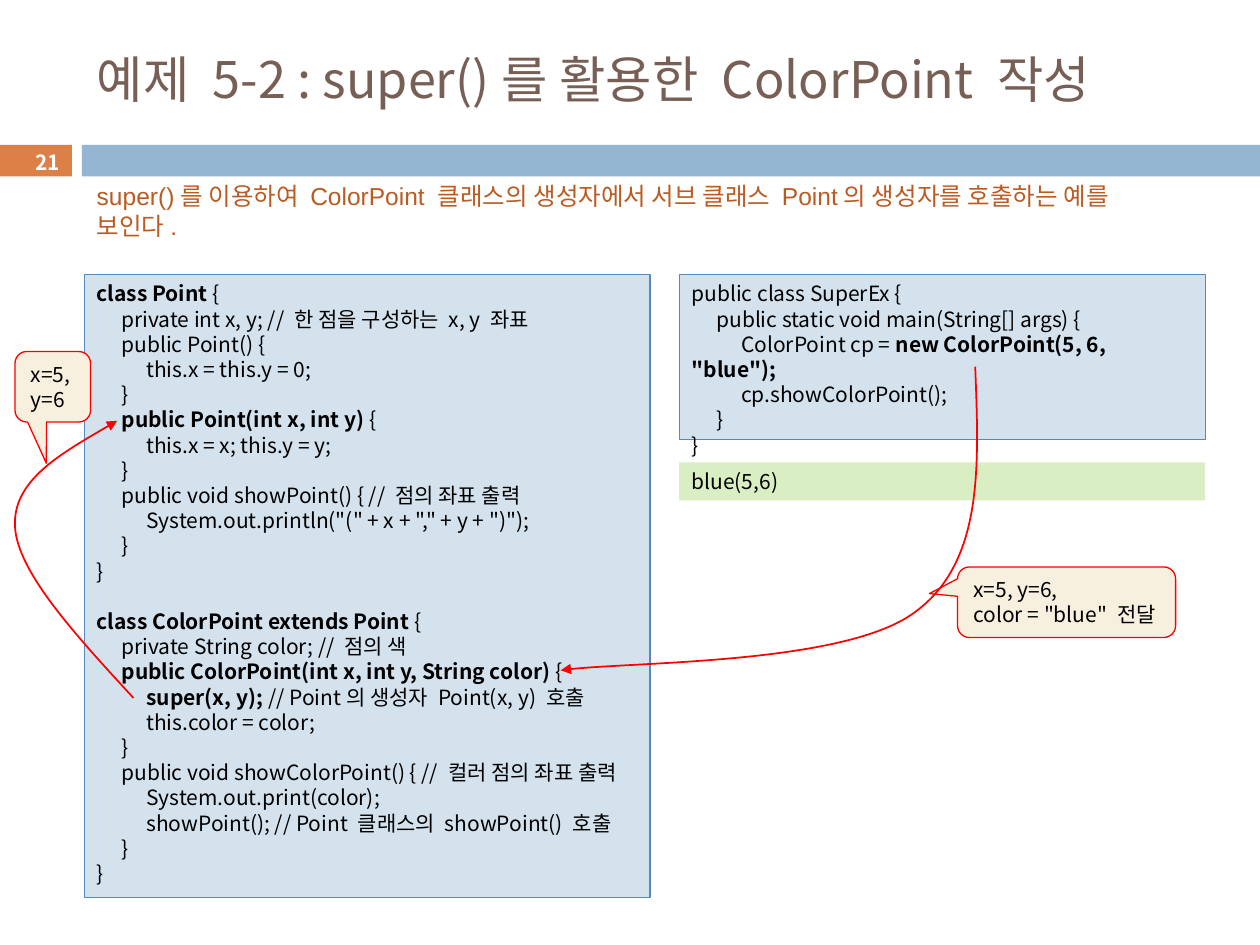
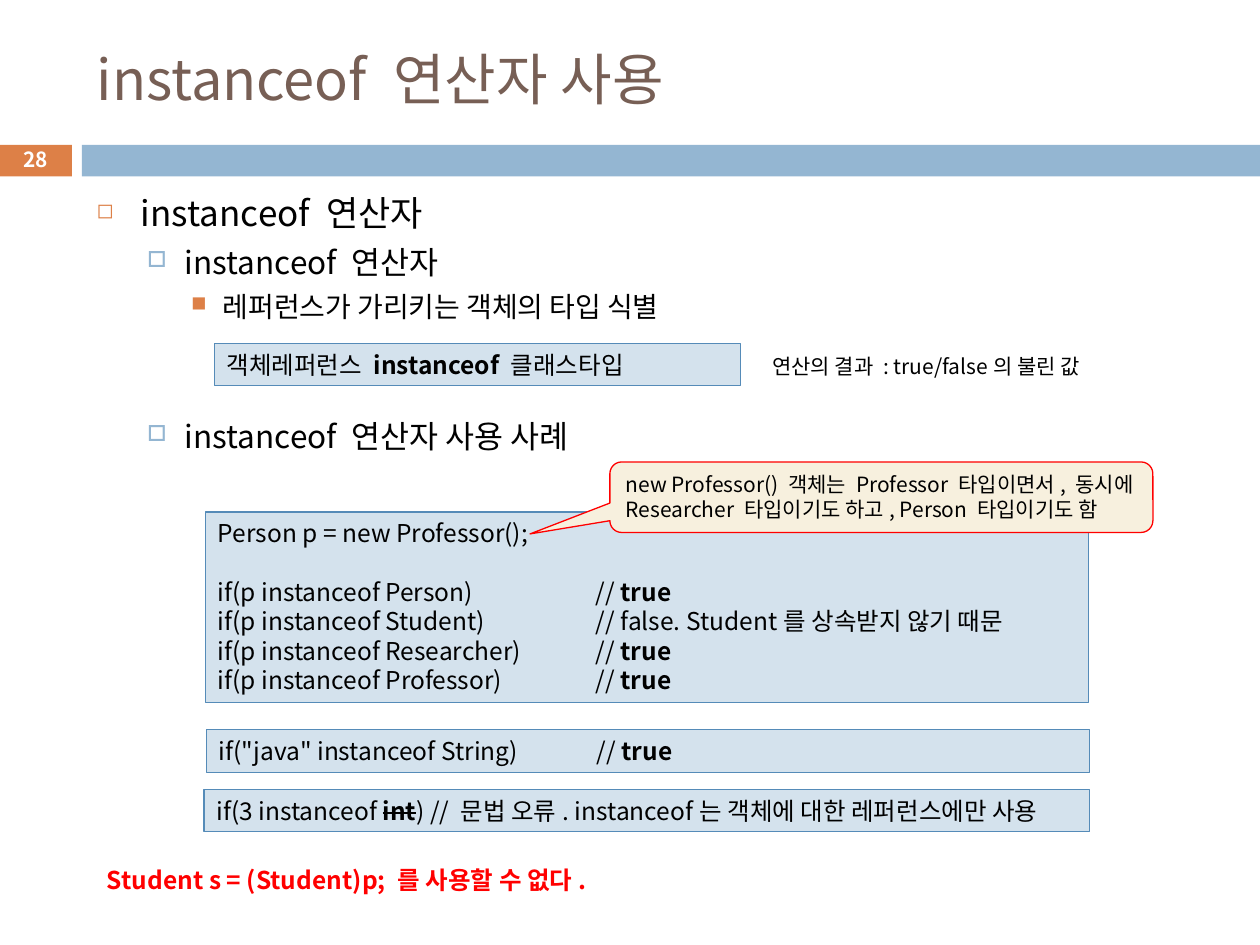
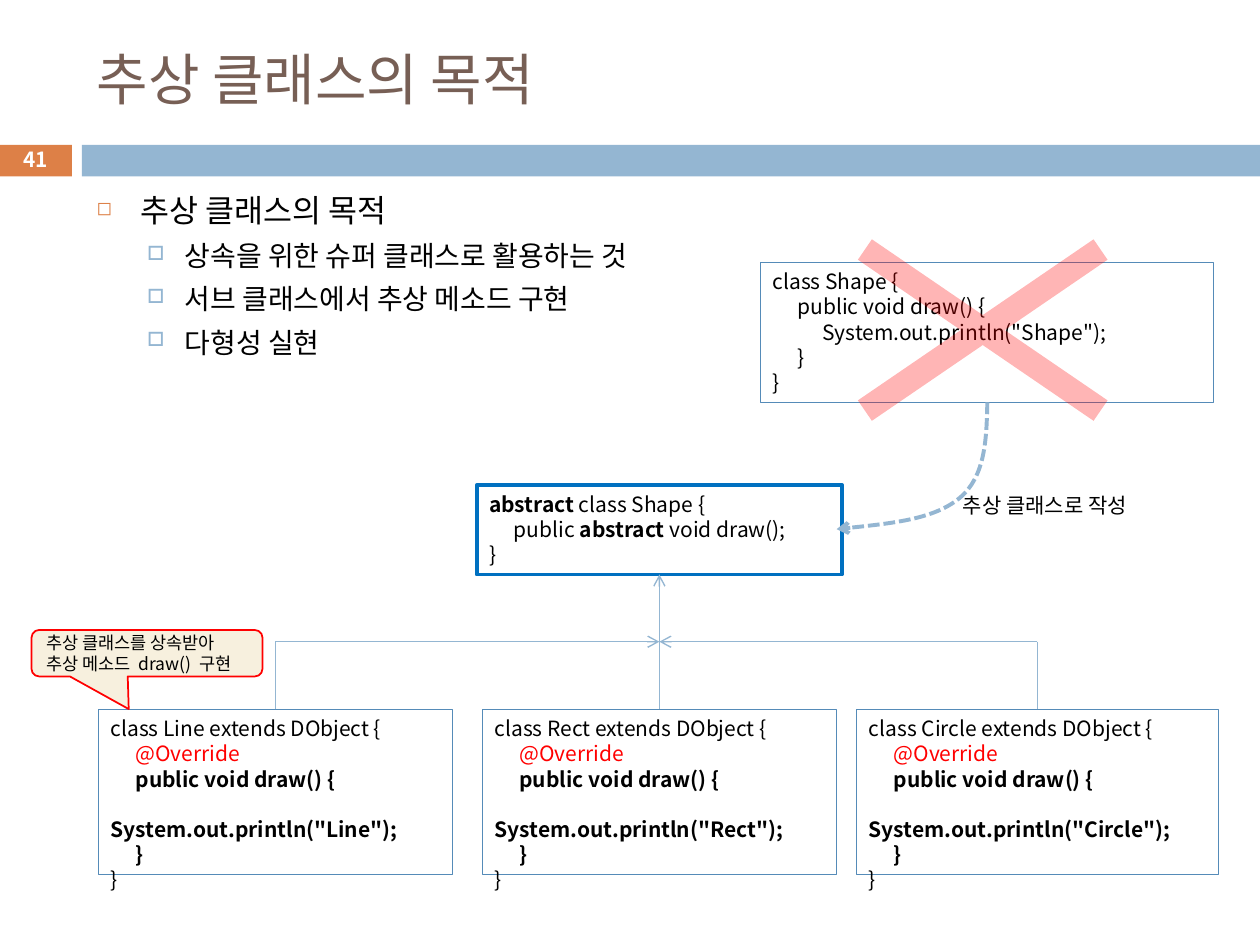
from dataclasses import dataclass
from typing import NamedTuple, Optional, Sequence, Union

from pptx import Presentation
from pptx.dml.color import RGBColor as Rgb
from pptx.enum.dml import MSO_LINE as Dash
from pptx.enum.shapes import MSO_CONNECTOR as Link, MSO_SHAPE as Kind
from pptx.enum.text import MSO_ANCHOR as Anchor, PP_ALIGN as Align
from pptx.oxml.ns import qn
from pptx.oxml.xmlchemy import OxmlElement as Node
from pptx.util import Pt

BLACK = Rgb(0x00, 0x00, 0x00)
WHITE = Rgb(0xFF, 0xFF, 0xFF)
RED = Rgb(0xFF, 0x00, 0x00)
BROWN = Rgb(0x77, 0x5F, 0x55)
RUST = Rgb(0xB9, 0x5B, 0x22)
ORANGE = Rgb(0xDD, 0x80, 0x47)
SKY = Rgb(0x94, 0xB6, 0xD2)
PALE = Rgb(0xD4, 0xE2, 0xED)
STEEL = Rgb(0x55, 0x8B, 0xB8)
BLUE = Rgb(0x00, 0x70, 0xC0)
CREAM = Rgb(0xF7, 0xF0, 0xDE)
GREEN = Rgb(0xDA, 0xEE, 0xC4)

SANS = "Noto Sans CJK KR"
LEAD = 1.2
INDENT = (14.17, 28.34, 42.51)
ANSWER = (216,)


class Run(NamedTuple):
    text: str
    form: dict


class Mark(NamedTuple):
    char: str
    color: Rgb
    share: int
    left: float
    hang: float


class Para(NamedTuple):
    runs: Sequence[Union[str, Run]]
    gap: float = 0
    size: Optional[float] = None
    mark: Optional[Mark] = None


Line = Union[str, Sequence[Union[str, Run]], Para]


@dataclass
class Box:
    x: float
    y: float
    w: float
    h: float
    lines: Sequence[Line] = ()
    size: float = 12
    kind: Optional[Kind] = Kind.RECTANGLE
    fill: Optional[Rgb] = None
    edge: Optional[Rgb] = None
    width: float = 0.75
    adjust: Sequence[float] = ()
    color: Rgb = BLACK
    font: str = SANS
    bold: bool = False
    anchor: Anchor = Anchor.TOP
    align: Align = Align.LEFT
    wrap: bool = True
    tabs: Sequence[float] = INDENT


@dataclass
class Curve:
    points: Sequence[tuple[float, float]]
    color: Rgb = RED
    width: float = 1
    head: str = "triangle"
    dash: Optional[Dash] = None


MARKS = (
    Mark("◻", ORANGE, 60, 25.2, 25.2),
    Mark("□", SKY, 70, 50.4, 21.6),
    Mark("■", ORANGE, 75, 72, 18),
)


def bold(text: str, **form) -> Run:
    return Run(text, {"bold": True, **form})


def item(text: str, level: int, size: float, gap: float = 0) -> Para:
    return Para([text], gap, size, MARKS[level])


def add_node(home, tag: str, **attrs):
    node = Node(tag)
    for key, value in attrs.items():
        node.set(key, str(value))
    home.append(node)
    return node


def add_run(para, run: Run) -> None:
    piece = para.add_run()
    piece.text = run.text
    form = dict(run.form)
    strike = form.pop("strike", False)
    font = piece.font
    for key, value in form.items():
        setattr(font.color if key == "rgb" else font, key, value)
    props = piece._r.get_or_add_rPr()
    if strike:
        props.set("strike", "sngStrike")
    add_node(props, "a:ea", typeface=SANS)


def set_mark(props, mark: Mark) -> None:
    props.set("marL", str(Pt(mark.left)))
    props.set("indent", str(-Pt(mark.hang)))
    add_node(add_node(props, "a:buClr"), "a:srgbClr", val=mark.color)
    add_node(props, "a:buSzPct", val=mark.share * 1000)
    add_node(props, "a:buChar", char=mark.char)


def set_tabs(props, stops: Sequence[float]) -> None:
    home = add_node(props, "a:tabLst")
    for stop in stops:
        add_node(home, "a:tab", pos=Pt(stop), algn="l")


def add_para(para, line: Line, box: Box) -> None:
    if isinstance(line, str):
        line = [line]
    if not isinstance(line, Para):
        line = Para(line)
    size = line.size or box.size
    form = {"alignment": box.align, "line_spacing": Pt(size * LEAD), "space_before": Pt(line.gap)}
    for key, value in form.items():
        setattr(para, key, value)
    props = para._p.get_or_add_pPr()
    if line.mark:
        set_mark(props, line.mark)
    set_tabs(props, box.tabs)
    base = {"size": Pt(size), "name": box.font, "bold": box.bold, "rgb": box.color}
    for run in line.runs:
        run = Run(run, {}) if isinstance(run, str) else run
        add_run(para, Run(run.text, {**base, **run.form}))


def paint(shape, fill: Optional[Rgb], edge: Optional[Rgb], width: float) -> None:
    shape.shadow.inherit = False
    if fill is None:
        shape.fill.background()
    else:
        shape.fill.solid()
        shape.fill.fore_color.rgb = fill
    if edge is None:
        shape.line.fill.background()
    else:
        shape.line.color.rgb = edge
        shape.line.width = Pt(width)


def add_box(slide, box: Box):
    place = [Pt(v) for v in (box.x, box.y, box.w, box.h)]
    if box.kind is None:
        shape = slide.shapes.add_textbox(*place)
    else:
        shape = slide.shapes.add_shape(box.kind, *place)
        paint(shape, box.fill, box.edge, box.width)
        for i, value in enumerate(box.adjust):
            shape.adjustments[i] = value
    frame = shape.text_frame
    frame.word_wrap = box.wrap
    frame.vertical_anchor = box.anchor
    for i, line in enumerate(box.lines):
        add_para(frame.add_paragraph() if i else frame.paragraphs[0], line, box)
    return shape


def add_head(shape, head: str) -> None:
    add_node(shape._element.spPr.find(qn("a:ln")), "a:tailEnd", type=head)


def add_curve(slide, curve: Curve) -> None:
    start, *rest = [(Pt(x), Pt(y)) for x, y in curve.points]
    pen = slide.shapes.build_freeform(*start)
    pen.add_line_segments(rest, close=False)
    shape = pen.convert_to_shape()
    steps = list(shape._element.iter(qn("a:lnTo")))
    for i in range(0, len(steps), 3):
        bend = Node("a:cubicBezTo")
        steps[i].addprevious(bend)
        for step in steps[i:i + 3]:
            bend.append(step[0])
            step.getparent().remove(step)
    paint(shape, None, curve.color, curve.width)
    if curve.dash:
        shape.line.dash_style = curve.dash
    add_head(shape, curve.head)


def add_link(slide, start, end, source=None, target=None, head: str = "none") -> None:
    ends = [Pt(v) for v in (*start, *end)]
    link = slide.shapes.add_connector(Link.STRAIGHT, *ends)
    if source is not None:
        link.begin_connect(source, 0)
    if target is not None:
        link.end_connect(target, 2)
    link.line.color.rgb = SKY
    link.line.width = Pt(0.79)
    add_head(link, head)
    add_node(link._element.spPr, "a:effectLst")


def code(x: float, y: float, w: float, h: float, lines: Sequence[Line], **form) -> Box:
    return Box(x, y, w, h, lines, **{"fill": PALE, "edge": STEEL, **form})


def note(x: float, y: float, w: float, h: float, lines: Sequence[Line], tip: Sequence[float], **form) -> Box:
    return Box(x, y, w, h, lines, kind=Kind.ROUNDED_RECTANGULAR_CALLOUT,
               fill=CREAM, edge=RED, adjust=(*tip, 0.167), **form)


def label(x: float, y: float, w: float, h: float, lines: Sequence[Line], **form) -> Box:
    return Box(x, y, w, h, lines, kind=None, **form)


def add_slide(deck, title: str, page: str, size: float = 32, left: float = -0.72, top: float = 81.4):
    slide = deck.slides.add_slide(deck.slide_layouts[6])
    for box in (
        Box(-0.72, 82.8, 41.76, 18, fill=ORANGE),
        Box(46.8, 82.8, 673.2, 18, fill=SKY),
        label(48.2, 18, 642.2, 53.3, [title], size=size, color=BROWN, anchor=Anchor.MIDDLE),
        label(left, top, 41.76, 19.4, [page], size=11.9, color=WHITE, bold=True,
              anchor=Anchor.MIDDLE, align=Align.CENTER),
    ):
        add_box(slide, box)
    return slide


def draw_super(deck) -> None:
    slide = add_slide(deck, "예제 5-2 : super()를 활용한 ColorPoint 작성", "21", 28.8, 6.2, 82.8)
    point = [
        [bold("class Point "), "{"],
        "\tprivate int x, y; // 한 점을 구성하는 x, y 좌표",
        "\tpublic Point() {",
        "\t\tthis.x = this.y = 0;",
        "\t}",
        [bold("\tpublic Point(int x, int y) "), "{"],
        "\t\tthis.x = x; this.y = y;",
        "\t}",
        "\tpublic void showPoint() { // 점의 좌표 출력",
        "\t\tSystem.out.println(\"(\" + x + \",\" + y + \")\");",
        "\t}",
        "}",
        Para([bold("class ColorPoint extends Point "), "{"], gap=14.4),
        "\tprivate String color; // 점의 색",
        [bold("\tpublic ColorPoint(int x, int y, String color) "), "{"],
        [bold("\t\tsuper(x, y); "), "// Point의 생성자 Point(x, y) 호출"],
        "\t\tthis.color = color;",
        "\t}",
        "\tpublic void showColorPoint() { // 컬러 점의 좌표 출력",
        "\t\tSystem.out.print(color);",
        "\t\tshowPoint(); // Point 클래스의 showPoint() 호출",
        "\t}",
        "}",
    ]
    main = [
        "public class SuperEx {",
        "\tpublic static void main(String[] args) {",
        ["\t\tColorPoint cp = ", bold("new ColorPoint(5, 6, \"blue\");")],
        "\t\tcp.showColorPoint();",
        "\t}",
        "}",
    ]
    intro = "super()를 이용하여 ColorPoint 클래스의 생성자에서 서브 클래스 Point의 생성자를 호출하는 예를 보인다."
    add_box(slide, label(48.2, 100.1, 601.2, 41, [intro], size=14, color=RUST, font="Arial"))
    add_box(slide, code(48.2, 157, 323.3, 356, point))
    add_box(slide, code(388.1, 157, 300.6, 94.3, main))
    add_curve(slide, Curve([(76.3, 398.9), (43.2, 362.9), (10, 326.9), (8.6, 301),
                            (7.2, 274.5), (37.4, 257.8), (67, 240.5)]))
    add_box(slide, note(547.2, 324, 124.6, 40.3, ["x=5, y=6,", "color = \"blue\" 전달"], (-0.629, -0.122)))
    add_box(slide, note(8.6, 200.9, 43.2, 40.3, ["x=5,", "y=6"], (-0.085, 1.085)))
    add_box(slide, code(388.1, 264.2, 300.6, 21.8, ["blue(5,6)"], fill=GREEN, edge=None))
    add_curve(slide, Curve([(557.3, 209.5), (559.4, 265.7), (562.3, 321.1), (522.7, 349.9),
                            (483.1, 379.4), (354.2, 378), (320.4, 383)]))


def draw_check(deck) -> None:
    slide = add_slide(deck, "instanceof 연산자 사용", "28")
    true = bold("true")
    tests = [
        "Person p = new Professor();",
        Para(["if(p instanceof Person) \t// ", true], gap=16.8),
        "if(p instanceof Student) \t// false. Student를 상속받지 않기 때문",
        ["if(p instanceof Researcher) \t// ", true],
        ["if(p instanceof Professor) \t// ", true],
    ]
    wrong = ["if(3 instanceof ", bold("int", strike=True),
             ") // 문법 오류. instanceof는 객체에 대한 레퍼런스에만 사용"]
    form = {"size": 14, "tabs": ANSWER}
    for box in (
        label(48.2, 105.8, 642.2, 396.7, [
            item("instanceof 연산자", 0, 20),
            item("instanceof 연산자", 1, 18, 5.5),
            item("레퍼런스가 가리키는 객체의 타입 식별", 2, 16, 5),
            item("instanceof 연산자 사용 사례", 1, 18, 53.9),
        ]),
        code(122.4, 196.3, 300.6, 24.2, [["객체레퍼런스 ", bold("instanceof "), "클래스타입"]], **form),
        label(434.2, 198.7, 199.4, 21.8, ["연산의 결과 : true/false의 불린 값"]),
        code(117.4, 292.6, 504.7, 108.7, tests, **form),
        code(118, 416.8, 504.7, 24.5, [["if(\"java\" instanceof String) \t// ", true]], **form),
        code(116.6, 451.2, 505.9, 24.2, [wrong], **form),
        note(348.5, 264, 310.3, 40.3, [
            "new Professor() 객체는 Professor 타입이면서, 동시에",
            "Researcher 타입이기도 하고, Person 타입이기도 함",
        ], (-0.647, 0.521), wrap=False),
        label(54, 491, 300.2, 24.2, ["Student s = (Student)p; 를 사용할 수 없다."],
              size=14, color=RED, bold=True),
    ):
        add_box(slide, box)


def child(name: str, x: float, w: float) -> Box:
    lines = [
        f"class {name} extends DObject {{",
        [Run("\t@Override", {"rgb": RED})],
        [bold("\tpublic void draw() {")],
        [bold(f"\t\t System.out.println(\"{name}\");")],
        [bold("\t}")],
        "}",
    ]
    return code(x, 405.4, w, 94.3, lines, fill=None)


def draw_shape(deck) -> None:
    slide = add_slide(deck, "추상 클래스의 목적", "41")
    goals = ("상속을 위한 슈퍼 클래스로 활용하는 것", "서브 클래스에서 추상 메소드 구현", "다형성 실현")
    add_box(slide, label(48.2, 105.8, 357.1, 396.7, [
        item("추상 클래스의 목적", 0, 18),
        *(item(goal, 1, 16, 5.5) for goal in goals),
    ]))
    kids = [add_box(slide, child(*row)) for row in (
        ("Line", 56.2, 202.4), ("Rect", 275.6, 202.4), ("Circle", 489.4, 206.8))]
    base = add_box(slide, code(272.4, 277.2, 208.8, 51.1, [
        [bold("abstract"), " class Shape {"],
        ["\tpublic ", bold("abstract"), " void draw();"],
        "}",
    ], fill=None, edge=BLUE, width=2.25))
    mid, bar, top = 376.8, 366.7, 405.4
    for kid, x in zip(kids, (157.4, mid, 592.8)):
        if x == mid:
            add_link(slide, (x, top), (x, 328.3), kid, base, "arrow")
        else:
            add_link(slide, (x, top), (x, bar), kid)
            add_link(slide, (x, bar), (mid, bar), head="arrow")
    add_box(slide, code(434.5, 150, 258.8, 80, [
        "class Shape {",
        "\tpublic void draw() {",
        "\t\tSystem.out.println(\"Shape\");",
        "\t}",
        "}",
    ], fill=None))
    cross = add_box(slide, Box(432, 100.1, 259.2, 177.1, kind=Kind.MATH_MULTIPLY, fill=RED, adjust=(0.08,)))
    tint = cross._element.spPr.find(qn("a:solidFill"))[0]
    add_node(tint, "a:alpha", val=29000)
    add_curve(slide, Curve([(564.2, 230), (563.8, 251.3), (563, 272.2), (548.6, 284.4),
                            (534.2, 296.6), (506.2, 299.5), (478.1, 302.4)],
                           SKY, 2.25, "arrow", Dash.SQUARE_DOT))
    add_box(slide, label(543.2, 277.9, 120.2, 21.8, ["추상 클래스로 작성"]))
    add_box(slide, note(18, 360, 132, 26.6, ["추상 클래스를 상속받아", "추상 메소드 draw() 구현"],
                        (-0.079, 1.201), size=10, width=1, anchor=Anchor.MIDDLE))


def main() -> None:
    deck = Presentation()
    deck.slide_width = Pt(720)
    deck.slide_height = Pt(540)
    for draw in (draw_super, draw_check, draw_shape):
        draw(deck)
    deck.save("out.pptx")


if __name__ == "__main__":
    main()
